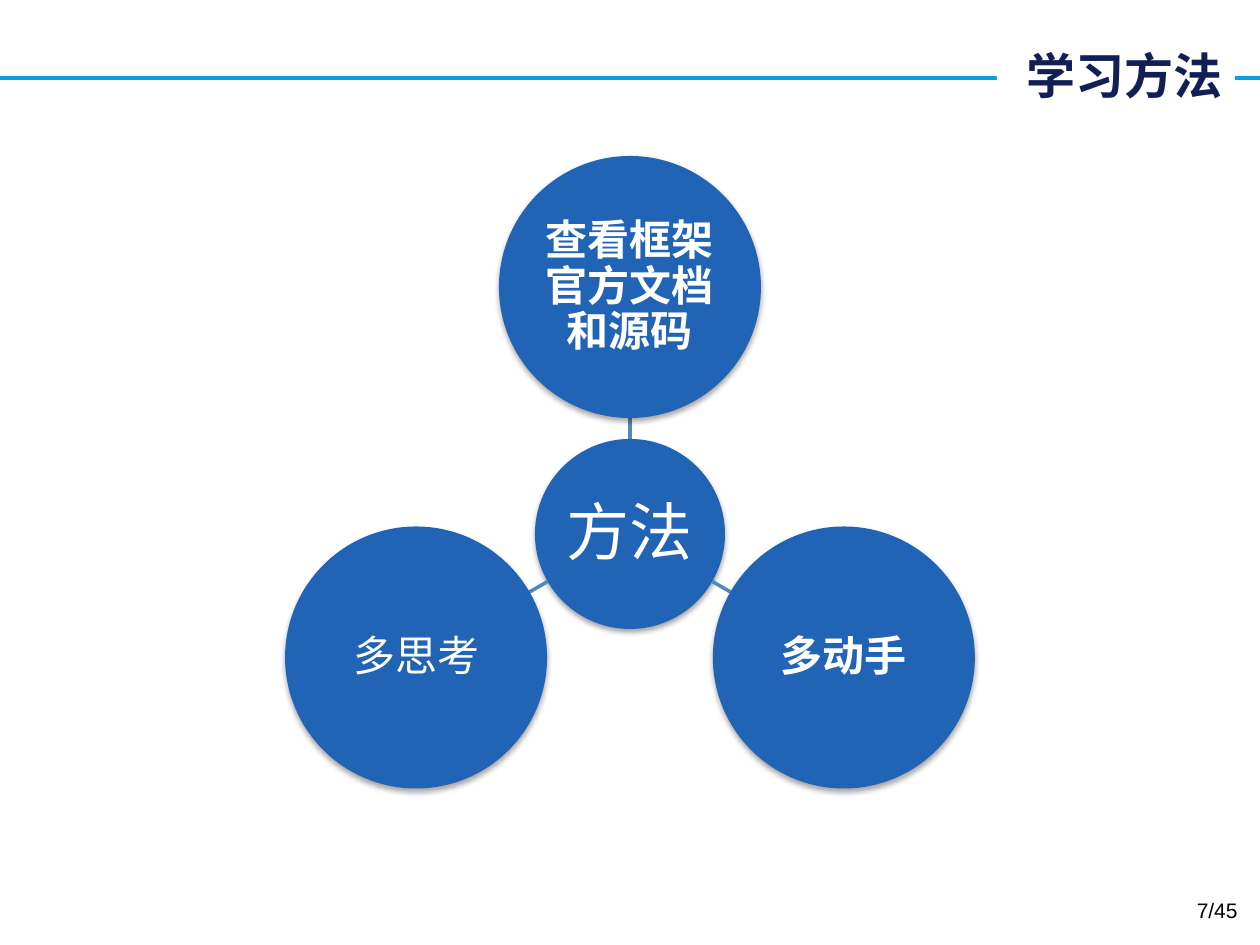
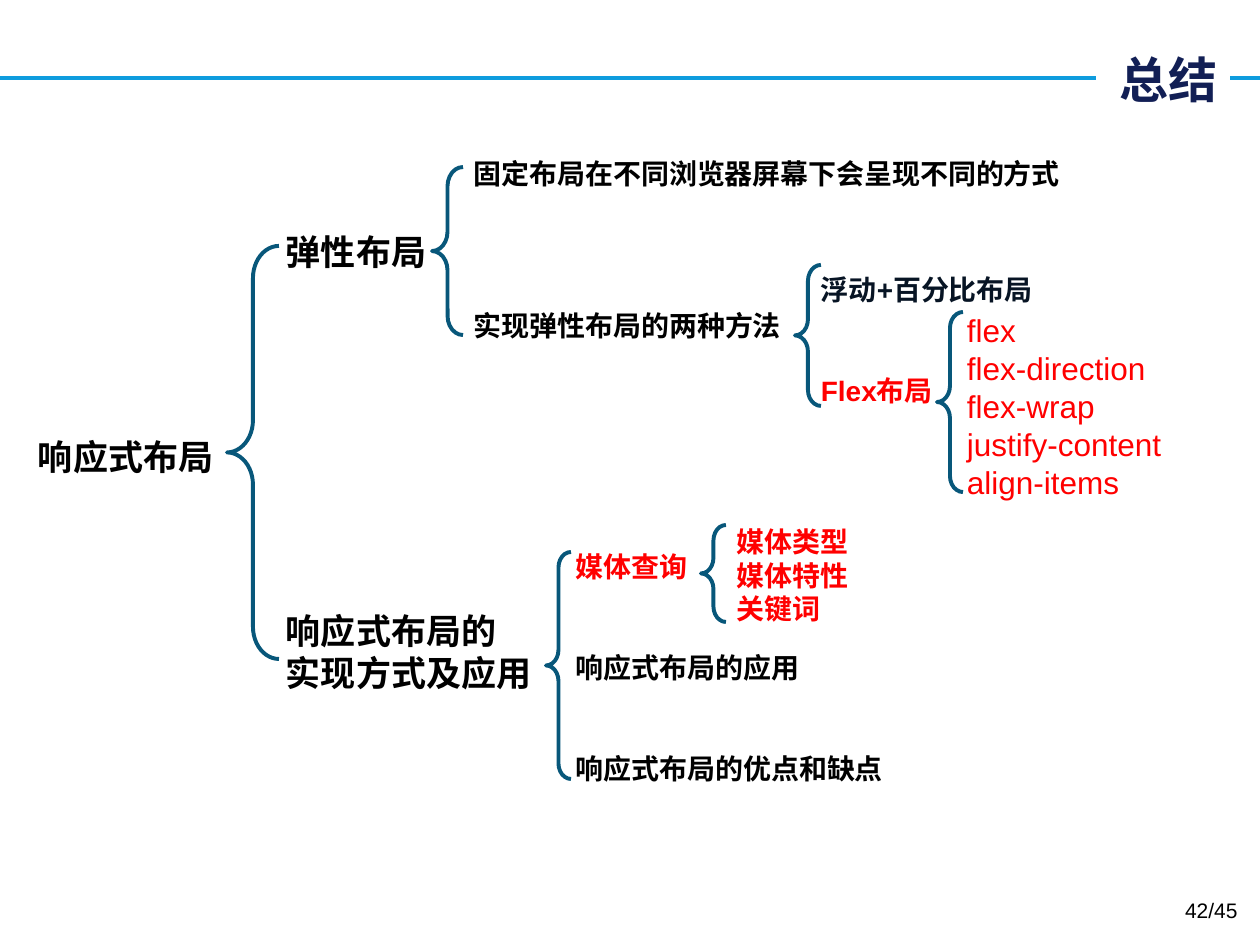
from dataclasses import dataclass
from math import cos, radians, sin

from lxml import etree
from pptx import Presentation
from pptx.dml.color import RGBColor
from pptx.enum.shapes import MSO_CONNECTOR, MSO_SHAPE
from pptx.enum.text import MSO_ANCHOR, MSO_AUTO_SIZE, PP_ALIGN
from pptx.oxml import parse_xml
from pptx.oxml.ns import nsdecls, qn
from pptx.util import Emu, Inches, Pt

LEFT, CENTER, RIGHT = PP_ALIGN.LEFT, PP_ALIGN.CENTER, PP_ALIGN.RIGHT
TOP, MIDDLE = MSO_ANCHOR.TOP, MSO_ANCHOR.MIDDLE
STRAIGHT = MSO_CONNECTOR.STRAIGHT
ELLIPSE, BRACE = MSO_SHAPE.OVAL, MSO_SHAPE.LEFT_BRACE
NO_FIT = MSO_AUTO_SIZE.NONE

PX_PER_INCH = 126
SLIDE_W, SLIDE_H = 1260, 945


@dataclass(frozen=True)
class Theme:
    latin: str = "Arial"
    cjk: str = "Noto Sans CJK SC"
    white: str = "FFFFFF"
    black: str = "000000"
    red: str = "FF0000"
    title: str = "121F55"
    rule: str = "0E9CDE"
    circle: str = "2163B4"
    spoke: str = "5188BB"
    brace: str = "08577A"
    ink: str = "071424"
    title_size: int = 28
    hub_size: int = 36
    circle_size: int = 24
    large: int = 20
    medium: int = 18
    small: int = 16
    page_size: int = 12
    leading: float = 1.2
    tight: float = 1.08
    rule_width: float = 2.25
    spoke_width: float = 2
    brace_curve: float = 0.62


T = Theme()

# Content: titles and page numbers
METHODS = {"title": "学习方法", "box": (997, 39, 238, 72), "page": "7/45"}
SUMMARY = {"title": "总结", "box": (1096, 38, 134, 81), "page": "42/45"}

RULE_Y = 78
PAGE_BOX = (956, 885, 294, 50)

# Content: hub and satellites (text, angle, bold)
HUB = {"text": "方法", "center": (630, 534), "radius": 95}
SATELLITES = [
    ("查看框架官方文档和源码", -90, True),
    ("多动手", 30, True),
    ("多思考", 150, False),
]
SATELLITE_RADIUS, ORBIT = 131, 247

# Content: tree labels (left, middle, lines, size, colour, bold)
LABELS = [
    (38, 456, ["响应式布局"], T.large, T.black, True),
    (286, 251, ["弹性布局"], T.large, T.black, True),
    (286, 651, ["响应式布局的", "实现方式及应用"], T.large, T.black, True),
    (474, 173, ["固定布局在不同浏览器屏幕下会呈现不同的方式"], T.small, T.black, True),
    (474, 325, ["实现弹性布局的两种方法"], T.small, T.black, True),
    (821, 289, ["浮动+百分比布局"], T.small, T.ink, True),
    (821, 390, ["Flex布局"], T.small, T.red, True),
    (967, 406, ["flex", "flex-direction", "flex-wrap", "justify-content", "align-items"],
     T.medium, T.red, False),
    (576, 566, ["媒体查询"], T.small, T.red, True),
    (737, 575, ["媒体类型", "媒体特性", "关键词"], T.small, T.red, True),
    (576, 667, ["响应式布局的应用"], T.small, T.black, True),
    (576, 768, ["响应式布局的优点和缺点"], T.small, T.black, True),
]
BRACES = [
    (227, 246, 52, 413),
    (432, 167, 31, 168),
    (795, 265, 26, 141),
    (937, 312, 26, 180),
    (546, 552, 25, 227),
    (701, 525, 25, 97),
]


def px(*values):
    return [Emu(round(v * 914400 / PX_PER_INCH)) for v in values]


def rgb(value):
    return RGBColor.from_string(value)


def put(obj, **values):
    for name, value in values.items():
        setattr(obj, name, value)


def write(shape, lines, size, color, bold=False, align=LEFT, anchor=MIDDLE,
          inset=0.0, leading=None, latin=T.latin):
    tf = shape.text_frame
    put(tf, word_wrap=True, auto_size=NO_FIT, vertical_anchor=anchor)
    for side in ("left", "top", "right", "bottom"):
        setattr(tf, f"margin_{side}", Inches(inset))
    for i, line in enumerate(lines):
        p = tf.paragraphs[0] if i == 0 else tf.add_paragraph()
        p.alignment = align
        if leading:
            p.line_spacing = Pt(round(size * leading, 1))
        r = p.add_run()
        r.text = line
        put(r.font, size=Pt(size), bold=bold, name=latin)
        r.font.color.rgb = rgb(color)
        ea = etree.Element(qn("a:ea"), typeface=T.cjk)
        r.font._element.find(qn("a:latin")).addnext(ea)


def add_line(s, x1, y1, x2, y2, color, width):
    line = s.shapes.add_connector(STRAIGHT, *px(x1, y1, x2, y2))
    line.line.color.rgb = rgb(color)
    line.line.width = Pt(width)
    etree.SubElement(line.element.spPr, qn("a:effectLst"))
    return line


def add_slide(prs, info):
    """Slide with the shared rule, title and page number."""
    s = prs.slides.add_slide(prs.slide_layouts[5])
    title = s.shapes.title
    put(title, **dict(zip(("left", "top", "width", "height"), px(*info["box"]))))
    title.fill.solid()
    title.fill.fore_color.rgb = rgb(T.white)
    write(title, [info["title"]], T.title_size, T.title, True, RIGHT,
          inset=0.1, latin=T.cjk)
    rule = add_line(s, 0, RULE_Y, SLIDE_W, RULE_Y, T.rule, T.rule_width)
    title.element.addprevious(rule.element)
    page = s.shapes.add_textbox(*px(*PAGE_BOX))
    write(page, [info["page"]], T.page_size, T.black, align=RIGHT, anchor=TOP, inset=0.1)
    return s


def add_circle(s, center, radius, text, size, bold=False):
    x, y = center
    sp = s.shapes.add_shape(ELLIPSE, *px(x - radius, y - radius, 2 * radius, 2 * radius))
    sp.fill.solid()
    sp.fill.fore_color.rgb = rgb(T.circle)
    sp.line.fill.background()
    sp.element.spPr.append(parse_xml(
        f'<a:effectLst {nsdecls("a")}><a:outerShdw blurRad="40000" dist="23000" '
        f'dir="5400000" rotWithShape="0"><a:srgbClr val="{T.black}">'
        '<a:alpha val="35000"/></a:srgbClr></a:outerShdw></a:effectLst>'))
    write(sp, [text], size, T.white, bold, CENTER, inset=0.02, leading=T.tight)


def build_methods(prs):
    s = add_slide(prs, METHODS)
    cx, cy = HUB["center"]
    add_circle(s, HUB["center"], HUB["radius"], HUB["text"], T.hub_size)
    for text, angle, bold in SATELLITES:
        dx, dy = cos(radians(angle)), sin(radians(angle))
        near, far = HUB["radius"], ORBIT - SATELLITE_RADIUS
        add_line(s, cx + near * dx, cy + near * dy, cx + far * dx, cy + far * dy,
                 T.spoke, T.spoke_width)
        add_circle(s, (cx + ORBIT * dx, cy + ORBIT * dy), SATELLITE_RADIUS,
                   text, T.circle_size, bold)


def build_summary(prs):
    s = add_slide(prs, SUMMARY)
    # Labels, centred on their middle line
    for x, middle, lines, size, color, bold in LABELS:
        em = size * PX_PER_INCH / 72
        w = (max(map(len, lines)) + 1) * em
        h = len(lines) * em * T.leading
        box = s.shapes.add_textbox(*px(x, middle - h / 2, w, h))
        write(box, lines, size, color, bold, leading=T.leading)
    # Braces
    for box in BRACES:
        sp = s.shapes.add_shape(BRACE, *px(*box))
        sp.shadow.inherit = False
        sp.adjustments[0] = T.brace_curve
        sp.fill.background()
        sp.line.color.rgb = rgb(T.brace)
        sp.line.width = Pt(T.rule_width)


def main():
    prs = Presentation()
    prs.slide_width, prs.slide_height = px(SLIDE_W, SLIDE_H)
    build_methods(prs)
    build_summary(prs)
    prs.save("out.pptx")


if __name__ == "__main__":
    main()
